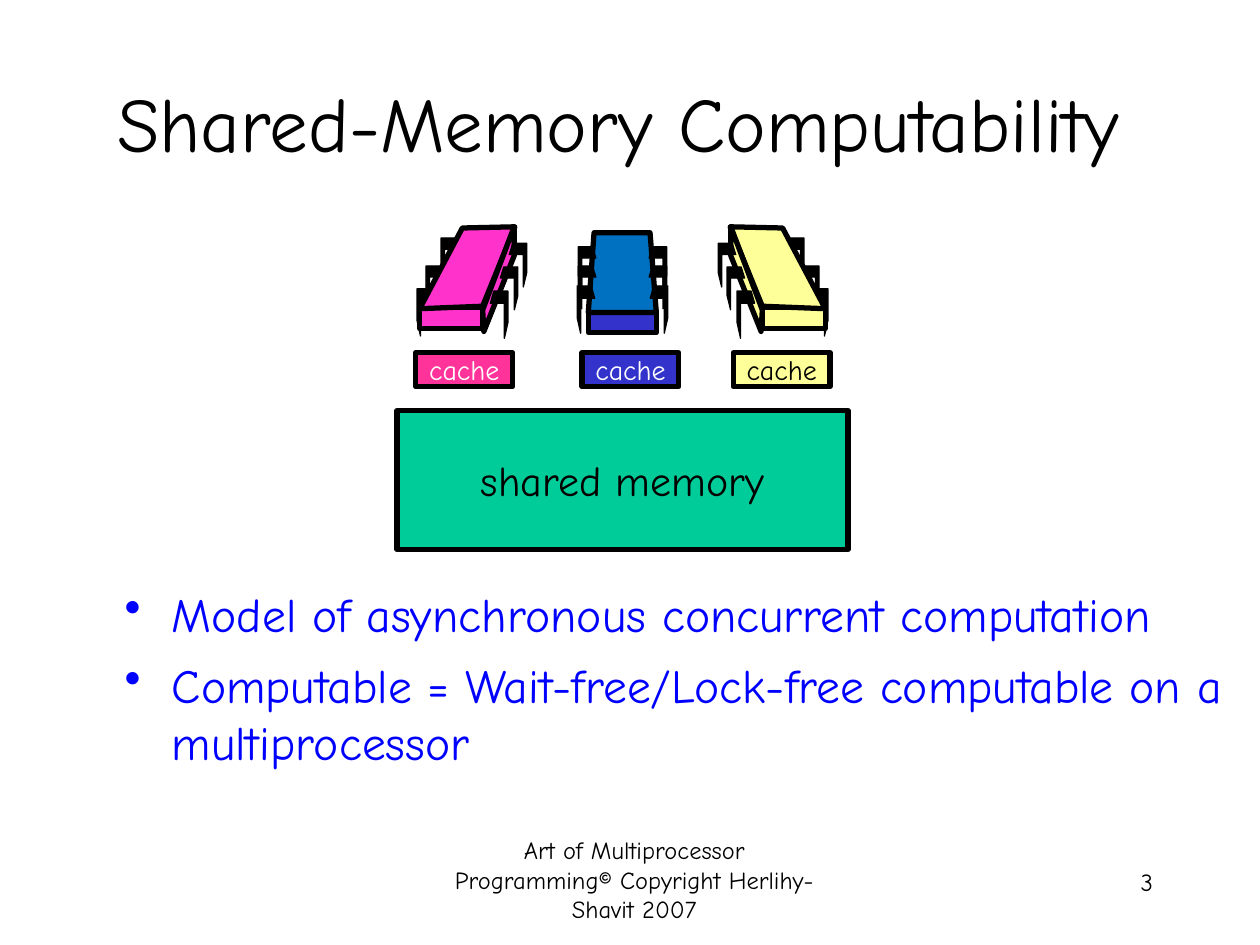
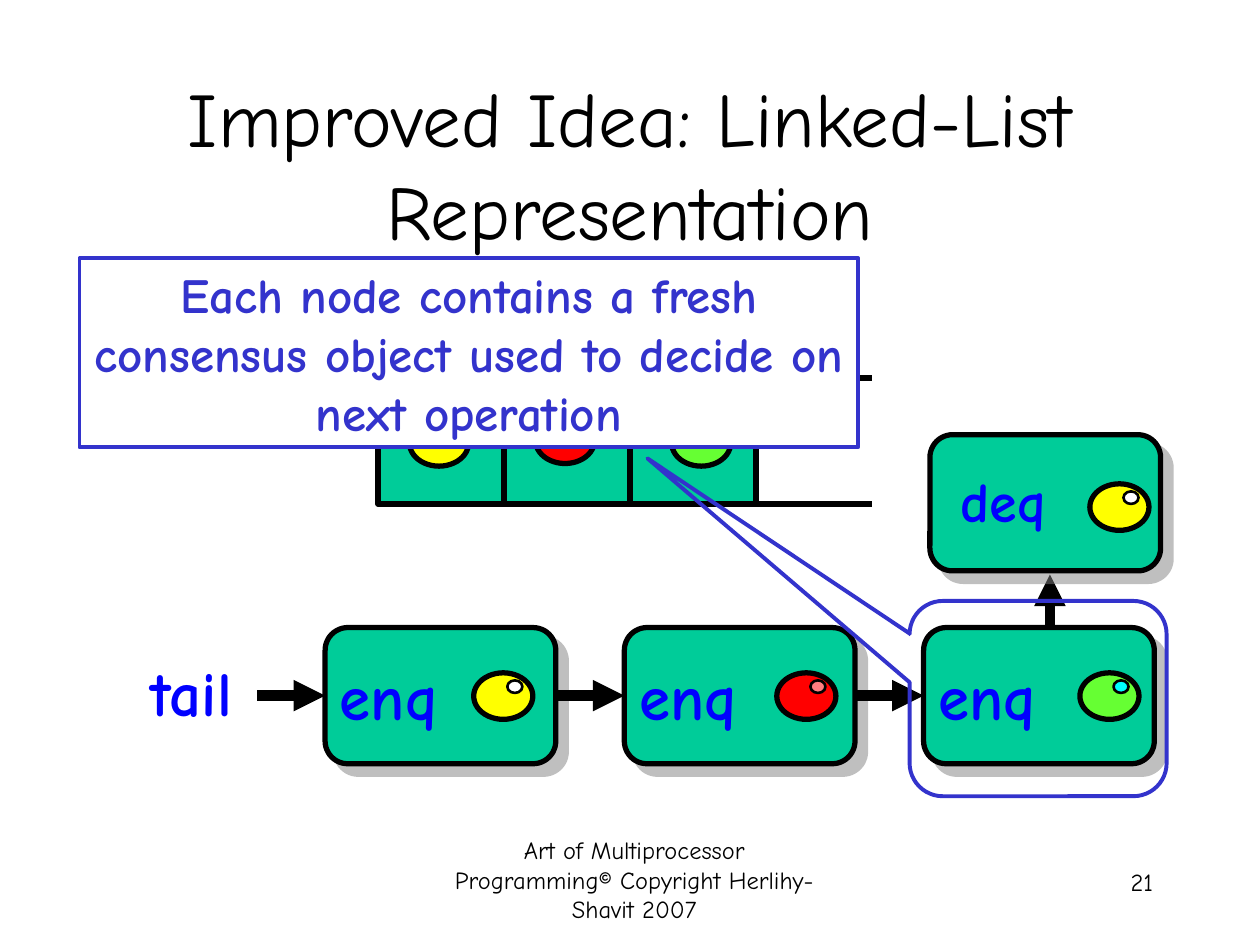
import lxml.etree
import pptx
import pptx.dml.color
import pptx.enum.shapes
import pptx.enum.text
import pptx.oxml.ns
import pptx.util

Pt = pptx.util.Pt
RGB = pptx.dml.color.RGBColor
SHAPE = pptx.enum.shapes.MSO_SHAPE
ALIGN = pptx.enum.text.PP_ALIGN
ANCHOR = pptx.enum.text.MSO_ANCHOR
qn = pptx.oxml.ns.qn

BLACK = RGB(0x00, 0x00, 0x00)
WHITE = RGB(0xFF, 0xFF, 0xFF)
BLUE = RGB(0x00, 0x00, 0xFF)
INDIGO = RGB(0x33, 0x33, 0xCC)
AZURE = RGB(0x00, 0x70, 0xC0)
TEAL = RGB(0x00, 0xCC, 0x99)
PINK = RGB(0xFF, 0x33, 0x99)
MAGENTA = RGB(0xFF, 0x33, 0xCC)
CREAM = RGB(0xFF, 0xFF, 0x99)
YELLOW = RGB(0xFF, 0xFF, 0x00)
RED = RGB(0xFF, 0x00, 0x00)
SALMON = RGB(0xFF, 0x7C, 0x80)
GREEN = RGB(0x66, 0xFF, 0x33)
CYAN = RGB(0x00, 0xFF, 0xFF)
GREY = RGB(0x80, 0x80, 0x80)

FONT = "Comic Neue"
FOOTER = "Art of Multiprocessor Programming© Copyright Herlihy-Shavit 2007"
MIRROR = 711.4


def sub(parent, tag, **attributes):
    """Append a DrawingML child element and return it."""
    element = lxml.etree.SubElement(parent, qn(tag))
    for key, value in attributes.items():
        element.set(key, str(value))
    return element


class Deck:
    """Holds the shared style and the slide being drawn."""

    def __init__(self):
        """Start an empty 10 by 7.5 inch deck."""
        self.deck = pptx.Presentation()
        self.deck.slide_width, self.deck.slide_height = Pt(720), Pt(540)
        self.shapes = None

    def slide(self, number, title, title_box):
        """Add a slide with its footer, number and title."""
        self.shapes = self.deck.slides.add_slide(self.deck.slide_layouts[6]).shapes
        self.text((248.4, 473.8, 228.2, 36), FOOTER, 14)
        self.text((516.2, 491.8, 149.8, 36), str(number), 14, align=ALIGN.RIGHT)
        self.text(title_box, title, 44, anchor=ANCHOR.MIDDLE)

    def label(self, shape, text, size, color=BLACK, bold=False, align=ALIGN.CENTER,
              anchor=ANCHOR.TOP, wrap=True):
        """Fill a shape with text in the deck's font."""
        frame = shape.text_frame
        frame.text = text
        frame.word_wrap = wrap
        frame.vertical_anchor = anchor
        for paragraph in frame.paragraphs:
            paragraph.alignment = align
            for run in paragraph.runs:
                run.font.name, run.font.size = FONT, Pt(size)
                run.font.bold, run.font.color.rgb = bold, color
        return frame

    def text(self, box, text, size, **style):
        """Add a text box."""
        return self.label(self.shapes.add_textbox(*map(Pt, box)), text, size, **style)

    def bullets(self, box, items, size, color):
        """Add a bulleted list."""
        frame = self.text(box, "\n".join(items), size, color=color, align=ALIGN.LEFT)
        for index, paragraph in enumerate(frame.paragraphs):
            properties = paragraph._p.get_or_add_pPr()
            properties.set("marL", str(Pt(27)))
            properties.set("indent", str(Pt(-27)))
            sub(sub(properties, "a:buClr"), "a:srgbClr", val=color)
            sub(properties, "a:buChar", char="•")
            if index:
                paragraph.space_before = Pt(8)

    def paint(self, shape, fill, line=BLACK, width=3):
        """Set fill and outline, and switch the shadow off."""
        shape.shadow.inherit = False
        if fill is None:
            shape.fill.background()
        else:
            shape.fill.solid()
            shape.fill.fore_color.rgb = fill
        shape.line.color.rgb, shape.line.width = line, Pt(width)
        return shape

    def shape(self, kind, box, fill, line=BLACK, width=3):
        """Add a preset shape."""
        return self.paint(self.shapes.add_shape(kind, *map(Pt, box)), fill, line, width)

    def outline(self, points, fill, width=3):
        """Add a closed free outline."""
        start, *rest = [(Pt(x), Pt(y)) for x, y in points]
        builder = self.shapes.build_freeform(*start, scale=1.0)
        builder.add_line_segments(rest, close=True)
        return self.paint(builder.convert_to_shape(), fill, width=width)

    def line(self, start, end, width=3, arrow=False, source=None, target=None):
        """Add a straight line, joined right to left where shapes are given."""
        link = self.shapes.add_connector(
            pptx.enum.shapes.MSO_CONNECTOR.STRAIGHT, *map(Pt, start + end))
        if source is not None:
            link.begin_connect(source, 3)
        if target is not None:
            link.end_connect(target, 1)
        link.line.color.rgb, link.line.width = BLACK, Pt(width)
        if arrow:
            sub(link._element.spPr.find(qn("a:ln")), "a:tailEnd", type="triangle")
        sub(link._element.spPr, "a:effectLst")

    def leg(self, x, y, drop, mirrored):
        """Add one chip leg whose outer top corner is x, y."""
        steps = ((-8, 0), (0, 0), (0, 0.67), (-2, 1), (-2, 0.26), (-10, 0.26))
        points = [(x + dx, y + part * drop) for dx, part in steps]
        self.outline([(MIRROR - px if mirrored else px, py) for px, py in points],
                     BLACK, 0.75)

    def tilted_chip(self, fill, mirrored):
        """Add a chip that leans right, or left when mirrored."""
        def place(points):
            return [(MIRROR - x if mirrored else x, y) for x, y in points]

        front_x = MIRROR - 275.8 if mirrored else 239.8
        self.shape(SHAPE.RECTANGLE, (front_x, 175.7, 36, 12.2), fill)
        for x, y, drop in ((238.3, 165, 27), (243.4, 152, 24.5), (252, 136, 25)):
            self.leg(MIRROR - x, y, drop, not mirrored)
        self.outline(place([(239.8, 176.4), (275.8, 175), (294.2, 129.6),
                            (264.2, 130.3)]), fill)
        self.outline(place([(293.8, 129.6), (293.8, 146.2), (276.5, 189.4),
                            (275.8, 177.1)]), fill)
        for x, y, drop in ((290.2, 166.3, 27), (295.9, 152.6, 24.5), (301, 139, 25)):
            self.leg(x, y, drop, mirrored)

    def upright_chip(self, top, front):
        """Add the chip seen from straight ahead."""
        self.shape(SHAPE.RECTANGLE, (336.2, 178.6, 38.9, 11.5), front)
        self.outline([(339.5, 133), (371.5, 133), (375.1, 178.6), (336.2, 178.6)], top)
        for mirrored in (False, True):
            for x, y, drop in ((381.6, 163.4, 27), (380.9, 152, 24.5), (380.9, 141, 25)):
                self.leg(x, y, drop, mirrored)

    def bead(self, x, y, fill, shine=None):
        """Add an oval bead, with a highlight if a shine colour is given."""
        self.shape(SHAPE.OVAL, (x, y, 33.8, 26.6), fill)
        if shine is not None:
            self.shape(SHAPE.OVAL, (x + 19.2, y + 4.3, 8.6, 7.2), shine, width=1.5)

    def node(self, x, y):
        """Add a rounded list node with a soft grey shadow."""
        node = self.shape(SHAPE.ROUNDED_RECTANGLE, (x, y, 131.8, 77.8), TEAL)
        effects = node._element.spPr.find(qn("a:effectLst"))
        shadow = sub(effects, "a:outerShdw", dist=Pt(8.5), dir=45 * 60000,
                     algn="ctr", rotWithShape=0)
        sub(sub(shadow, "a:srgbClr", val=GREY), "a:alpha", val=50000)
        return node


def computability(deck):
    """Draw processors and caches over a shared memory."""
    deck.slide(3, "Shared-Memory Computability", (23.8, 24.5, 659.5, 90))
    deck.bullets((64.1, 330.5, 655.9, 146.9), [
        "Model of asynchronous concurrent computation",
        "Computable = Wait-free/Lock-free computable on a multiprocessor",
    ], 27.2, BLUE)
    deck.upright_chip(AZURE, INDIGO)
    deck.tilted_chip(MAGENTA, mirrored=False)
    deck.tilted_chip(CREAM, mirrored=True)
    memory = deck.shape(SHAPE.RECTANGLE, (226.8, 234.7, 257.8, 79.2), TEAL)
    deck.label(memory, "shared memory", 24, anchor=ANCHOR.MIDDLE, wrap=False)
    for x, fill, color in ((237.6, PINK, WHITE), (332.6, INDIGO, WHITE),
                           (419, CREAM, BLACK)):
        cache = deck.shape(SHAPE.RECTANGLE, (x, 201.6, 55.4, 19.4), fill)
        deck.label(cache, "cache", 16, color, anchor=ANCHOR.MIDDLE, wrap=False)


def linked_list(deck):
    """Draw the array queue and the linked list of operations."""
    deck.slide(21, "Improved Idea: Linked-List Representation", (54, 48.2, 612, 90))
    operation = dict(color=BLUE, bold=True, align=ALIGN.RIGHT, wrap=False)

    for index in range(3):
        deck.shape(SHAPE.RECTANGLE, (216 + 72 * index, 216, 72, 72), TEAL)
    for y in (216, 288):
        deck.line((426.2, y), (498.2, y))
    for x, y, fill in ((383.8, 239.8, GREEN), (306, 238.3, RED), (234, 239.8, YELLOW)):
        deck.bead(x, y, fill)

    nodes = []
    for index, (fill, shine) in enumerate(((YELLOW, WHITE), (RED, SALMON), (GREEN, CYAN))):
        x = 185.8 + 171 * index
        nodes.append(deck.node(x, 358.6))
        deck.text((x + 1.4, 372.2, 69.8, 50.4), "enq", 36, **operation)
        deck.bead(270.7 + 173.2 * index, 384.5, fill, shine)
    deck.text((77.8, 370.1, 61.9, 50.4), "tail", 36, **operation)
    for source, target in zip([None] + nodes, nodes):
        deck.line((146.9, 397.5), (185.8, 397.5), 6, True, source, target)

    deck.line((600, 358.6), (600, 328.3), 6, True)
    deck.node(531.4, 248.4)
    deck.text((541.4, 262.8, 63.4, 46.1), "deq", 32, **operation)
    deck.bead(622.8, 276.5, YELLOW, WHITE)

    callout = deck.shape(SHAPE.ROUNDED_RECTANGULAR_CALLOUT, (519.8, 343.4, 146.9, 111.6),
                         None, INDIGO, 2.25)
    for index, value in enumerate((-1.52, -1.23, 0.17)):
        callout.adjustments[index] = value
    remark = deck.shape(SHAPE.RECTANGLE, (45.4, 147.6, 445, 108), WHITE, INDIGO, 2.25)
    deck.label(remark, "Each node contains a fresh consensus object used to decide on "
               "next operation", 28, INDIGO, bold=True)


def main():
    """Build and save the deck."""
    deck = Deck()
    computability(deck)
    linked_list(deck)
    deck.deck.save("out.pptx")


if __name__ == "__main__":
    main()
